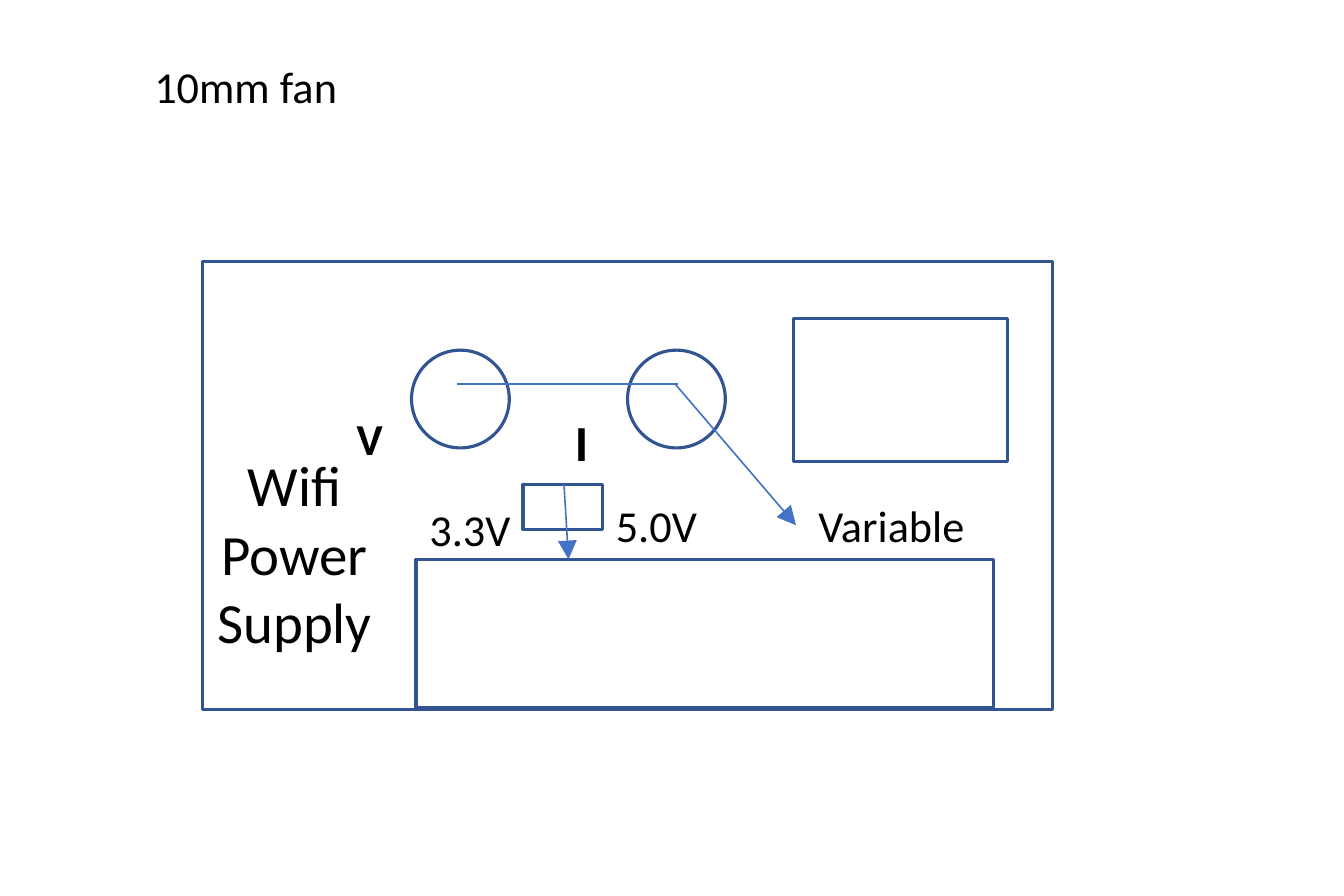
import pptx
import pptx.util
import pptx.dml.color
import pptx.enum.shapes
import pptx.enum.text
import pptx.oxml
import pptx.oxml.ns

Inches = pptx.util.Inches
Pt = pptx.util.Pt
RGBColor = pptx.dml.color.RGBColor
Shape = pptx.enum.shapes.MSO_SHAPE
Align = pptx.enum.text.PP_ALIGN

OUTLINE = RGBColor(0x32, 0x54, 0x91)
WIRE = RGBColor(0x44, 0x72, 0xC4)
BLACK = RGBColor(0, 0, 0)
FONT = "Calibri"


class Panel:
    def __init__(self, page):
        self.page = page

    def outline(self, kind, left, top, width, height):
        shape = self.page.shapes.add_shape(
            kind, Inches(left), Inches(top), Inches(width), Inches(height))
        shape.shadow.inherit = False
        shape.fill.background()
        shape.line.color.rgb = OUTLINE
        shape.line.width = Pt(1)

    def label(self, lines, left, top, width, height, size=14, bold=False,
              align=Align.LEFT, wrap=False):
        box = self.page.shapes.add_textbox(
            Inches(left), Inches(top), Inches(width), Inches(height))
        frame = box.text_frame
        frame.word_wrap = wrap
        frame.auto_size = pptx.enum.text.MSO_AUTO_SIZE.SHAPE_TO_FIT_TEXT
        for index, line in enumerate(lines):
            para = frame.add_paragraph() if index else frame.paragraphs[0]
            para.alignment = align
            span = para.add_run()
            span.text = line
            span.font.name = FONT
            span.font.size = Pt(size)
            span.font.bold = bold
            span.font.color.rgb = BLACK

    def wire(self, start, end, arrow=False):
        connector = self.page.shapes.add_connector(
            pptx.enum.shapes.MSO_CONNECTOR.STRAIGHT,
            *map(Inches, start + end))
        connector.line.color.rgb = WIRE
        connector.line.width = Pt(0.5)
        properties = connector.element.spPr
        properties.append(pptx.oxml.parse_xml(
            "<a:effectLst %s/>" % pptx.oxml.ns.nsdecls("a")))
        if arrow:
            connector.line._get_or_add_ln().append(pptx.oxml.parse_xml(
                '<a:tailEnd %s type="triangle"/>' % pptx.oxml.ns.nsdecls("a")))


deck = pptx.Presentation()
deck.slide_width = Inches(5.91)
deck.slide_height = Inches(3.94)
panel = Panel(deck.slides.add_slide(deck.slide_layouts[6]))

panel.outline(Shape.RECTANGLE, 0.89, 1.15, 3.74, 1.97)
panel.label(["Wifi", "Power", "Supply"], 0.85, 1.93, 0.89, 1.01,
            size=18, align=Align.CENTER, wrap=True)

for bounds in [(1.83, 2.46, 2.54, 0.65), (3.49, 1.4, 0.94, 0.63),
               (2.3, 2.13, 0.35, 0.2)]:
    panel.outline(Shape.RECTANGLE, *bounds)
for dial_left in (1.81, 2.76):
    panel.outline(Shape.OVAL, dial_left, 1.54, 0.43, 0.43)

for text, *bounds in [("3.3V", 1.79, 2.16, 0.56, 0.34),
                      ("5.0V", 2.61, 2.14, 0.56, 0.34),
                      ("Variable", 3.5, 2.14, 0.85, 0.34),
                      ("10mm fan", 0.58, 0.21, 1.01, 0.34)]:
    panel.label([text], *bounds)
panel.label(["V"], 1.47, 1.76, 0.32, 0.34, bold=True)
panel.label(["I"], 2.43, 1.76, 0.26, 0.37, size=16, bold=True)

panel.wire((2.01, 1.69), (2.98, 1.69))
panel.wire((2.97, 1.69), (3.5, 2.31), arrow=True)
panel.wire((2.48, 2.13), (2.5, 2.46), arrow=True)

deck.save("out.pptx")
